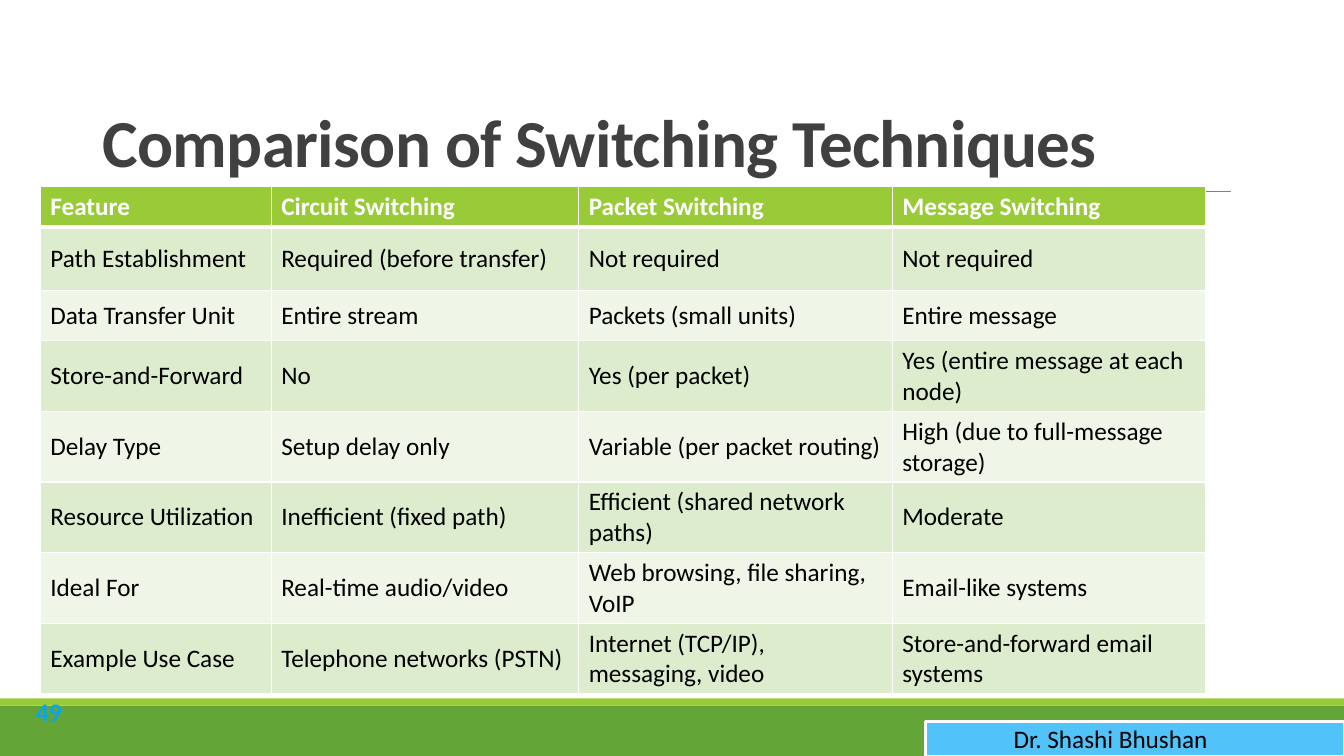
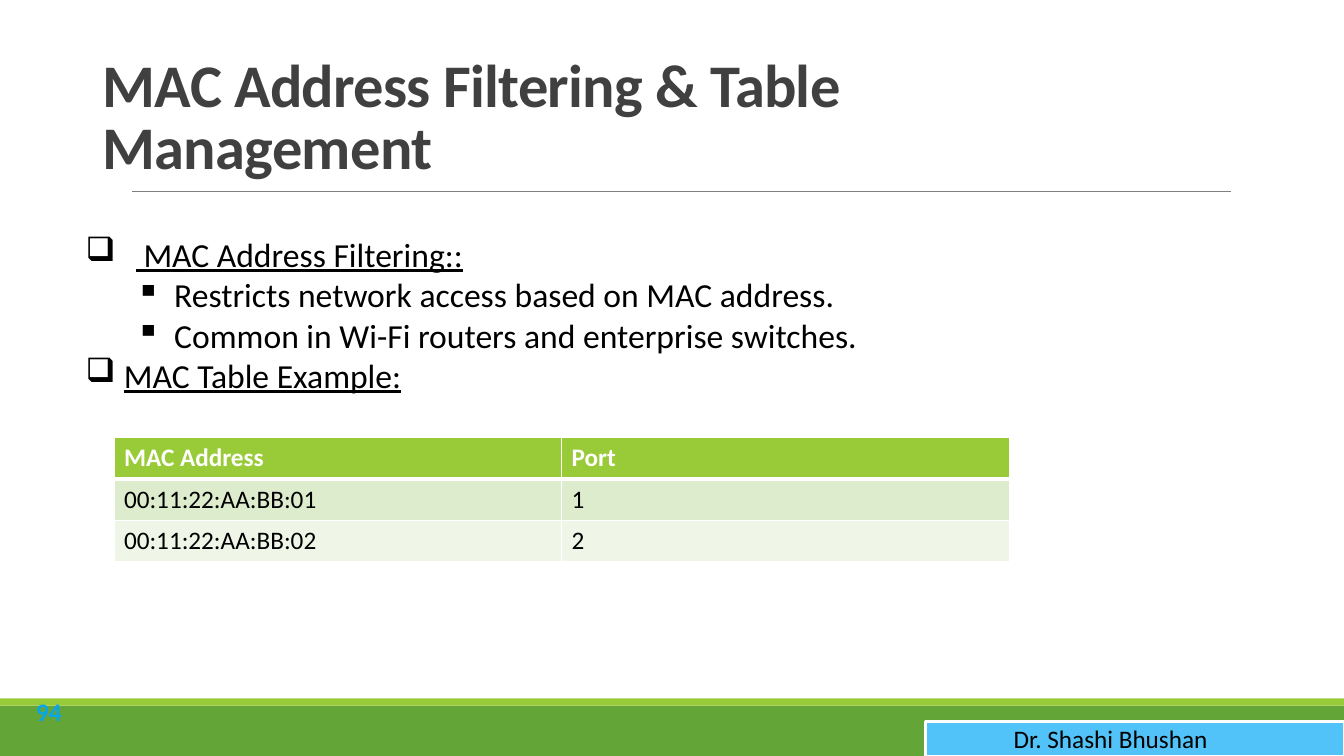
from lxml import etree
from pptx import Presentation
from pptx.dml.color import RGBColor
from pptx.enum.shapes import MSO_CONNECTOR, MSO_SHAPE
from pptx.enum.text import MSO_ANCHOR, PP_ALIGN
from pptx.oxml.ns import qn
from pptx.util import Inches, Pt

# Shared style
FONT = "Calibri"
WHITE = RGBColor(0xFF, 0xFF, 0xFF)
BLACK = RGBColor(0x00, 0x00, 0x00)
TITLE_GREY = RGBColor(0x40, 0x40, 0x40)
RULE_GREY = RGBColor(0x80, 0x80, 0x80)
GREEN = RGBColor(0x63, 0xA5, 0x37)
LIME = RGBColor(0x99, 0xCB, 0x38)
ROW_TINTS = (RGBColor(0xDE, 0xEC, 0xCE), RGBColor(0xEF, 0xF6, 0xE8))
SKY = RGBColor(0x51, 0xC3, 0xF9)
NUMBER_BLUE = RGBColor(0x08, 0xA5, 0xEF)

SLIDE_W, SLIDE_H = 13.33, 7.5
AUTHOR = "Dr. Shashi Bhushan"

# Content
COMPARISON = [
    ("Feature", "Circuit Switching", "Packet Switching", "Message Switching"),
    ("Path Establishment", "Required (before transfer)", "Not required", "Not required"),
    ("Data Transfer Unit", "Entire stream", "Packets (small units)", "Entire message"),
    ("Store-and-Forward", "No", "Yes (per packet)", "Yes (entire message at each node)"),
    ("Delay Type", "Setup delay only", "Variable (per packet routing)",
     "High (due to full-message storage)"),
    ("Resource Utilization", "Inefficient (fixed path)", "Efficient (shared network paths)",
     "Moderate"),
    ("Ideal For", "Real-time audio/video", "Web browsing, file sharing, VoIP",
     "Email-like systems"),
    ("Example Use Case", "Telephone networks (PSTN)", "Internet (TCP/IP), messaging, video",
     "Store-and-forward email systems"),
]
MAC_TABLE = [
    ("MAC Address", "Port"),
    ("00:11:22:AA:BB:01", "1"),
    ("00:11:22:AA:BB:02", "2"),
]
# Text, bullet, left margin, hanging indent, underlined
MAC_POINTS = [
    (" MAC Address Filtering::", "❑", 0.5, 0.5, True),
    ("Restricts network access based on MAC address.", "▪", 0.88, 0.38, False),
    ("Common in Wi-Fi routers and enterprise switches.", "▪", 0.88, 0.38, False),
    ("MAC Table Example:", "❑", 0.38, 0.38, True),
]


def write(paragraph, text, size=18, color=BLACK, bold=False, underline=False,
          align=PP_ALIGN.LEFT, line_spacing=None, tracking=None):
    """Add formatted text to a paragraph."""
    paragraph.alignment = align
    if line_spacing:
        paragraph.line_spacing = line_spacing
    run = paragraph.add_run()
    run.text = text
    font = run.font
    font.name, font.size, font.bold, font.underline = FONT, Pt(size), bold, underline
    font.color.rgb = color
    if tracking:
        font._element.set("spc", str(round(tracking * 100)))


def add_frame(slide, box, anchor=MSO_ANCHOR.TOP):
    frame = slide.shapes.add_textbox(*map(Inches, box)).text_frame
    frame.word_wrap = True
    frame.vertical_anchor = anchor
    return frame


def add_band(slide, box, fill, outline=None):
    band = slide.shapes.add_shape(MSO_SHAPE.RECTANGLE, *map(Inches, box))
    band.shadow.inherit = False
    band.fill.solid()
    band.fill.fore_color.rgb = fill
    if outline:
        band.line.color.rgb = outline
        band.line.width = Pt(2)
    else:
        band.line.fill.background()


def add_rule(slide, left, right, y):
    rule = slide.shapes.add_connector(
        MSO_CONNECTOR.STRAIGHT, Inches(left), Inches(y), Inches(right), Inches(y))
    rule.line.color.rgb = RULE_GREY
    rule.line.width = Pt(0.5)
    etree.SubElement(rule._element.spPr, qn("a:effectLst"))


def add_footer(slide, number, top=6.93):
    # Green bands
    add_band(slide, (0, top + 0.07, SLIDE_W, 0.5), GREEN)
    add_band(slide, (0, top, SLIDE_W, 0.07), LIME)
    # Author tag
    left = 9.18
    add_band(slide, (left, top + 0.23, SLIDE_W - left, 0.34), SKY, WHITE)
    author = add_frame(slide, (left, top + 0.2, 3.67, 0.4))
    write(author.paragraphs[0], AUTHOR, align=PP_ALIGN.CENTER)
    # Slide number
    page = add_frame(slide, (0.21, top - 0.13, 0.55, 0.51), MSO_ANCHOR.MIDDLE)
    write(page.paragraphs[0], str(number), color=NUMBER_BLUE, bold=True,
          align=PP_ALIGN.CENTER)


def add_base(deck, title, title_size, number):
    """Blank slide with title, rule and footer."""
    slide = deck.slides.add_slide(deck.slide_layouts[6])
    add_footer(slide, number)
    add_rule(slide, 1.31, 12.21, 1.9)
    heading = add_frame(slide, (0.92, 0.4, 10.77, 1.45), MSO_ANCHOR.BOTTOM)
    write(heading.paragraphs[0], title, size=title_size, color=TITLE_GREY, bold=True,
          line_spacing=0.85, tracking=-0.5)
    return slide


def set_borders(cell, **widths):
    properties = cell._tc.get_or_add_tcPr()
    for side in "LRTB":
        edge = etree.SubElement(properties, qn(f"a:ln{side}"),
                                w=str(Pt(widths.get(side, 1))))
        fill = etree.SubElement(edge, qn("a:solidFill"))
        etree.SubElement(fill, qn("a:srgbClr"), val=str(WHITE))


def add_grid(slide, left, top, rows, col_widths, row_heights):
    """Table with a lime header and alternating tinted rows."""
    grid = slide.shapes.add_table(
        len(rows), len(col_widths), Inches(left), Inches(top),
        Inches(sum(col_widths)), Inches(sum(row_heights))).table
    grid.first_row = grid.horz_banding = False
    for column, width in zip(grid.columns, col_widths):
        column.width = Inches(width)
    for r, (texts, height) in enumerate(zip(rows, row_heights)):
        grid.rows[r].height = Inches(height)
        header = r == 0
        for c, text in enumerate(texts):
            cell = grid.cell(r, c)
            set_borders(cell, B=3 if header else 1, T=3 if r == 1 else 1)
            cell.fill.solid()
            cell.fill.fore_color.rgb = LIME if header else ROW_TINTS[(r - 1) % 2]
            cell.vertical_anchor = MSO_ANCHOR.MIDDLE
            write(cell.text_frame.paragraphs[0], text,
                  color=WHITE if header else BLACK, bold=header)


def add_points(slide, box, points):
    frame = add_frame(slide, box)
    for i, (text, bullet, margin, hanging, underline) in enumerate(points):
        paragraph = frame.add_paragraph() if i else frame.paragraphs[0]
        properties = paragraph._p.get_or_add_pPr()
        properties.set("marL", str(Inches(margin)))
        properties.set("indent", str(-Inches(hanging)))
        etree.SubElement(properties, qn("a:buChar"), char=bullet)
        write(paragraph, text, size=24, underline=underline)


def build_comparison(deck):
    slide = add_base(deck, "Comparison of Switching Techniques", 48, 49)
    add_grid(slide, 0.4, 1.85, COMPARISON, (2.29, 3.05, 3.11, 3.11),
             [0.39, 0.63, 0.5] + [0.68] * 5)


def build_mac_table(deck):
    slide = add_base(deck, "MAC Address Filtering & Table Management", 43.2, 94)
    add_points(slide, (0.75, 2.27, 11.66, 1.72), MAC_POINTS)
    add_grid(slide, 1.13, 4.34, MAC_TABLE, [4.44] * 2, [0.41] * 3)


def main():
    deck = Presentation()
    deck.slide_width, deck.slide_height = Inches(SLIDE_W), Inches(SLIDE_H)
    build_comparison(deck)
    build_mac_table(deck)
    deck.save("out.pptx")


if __name__ == "__main__":
    main()
